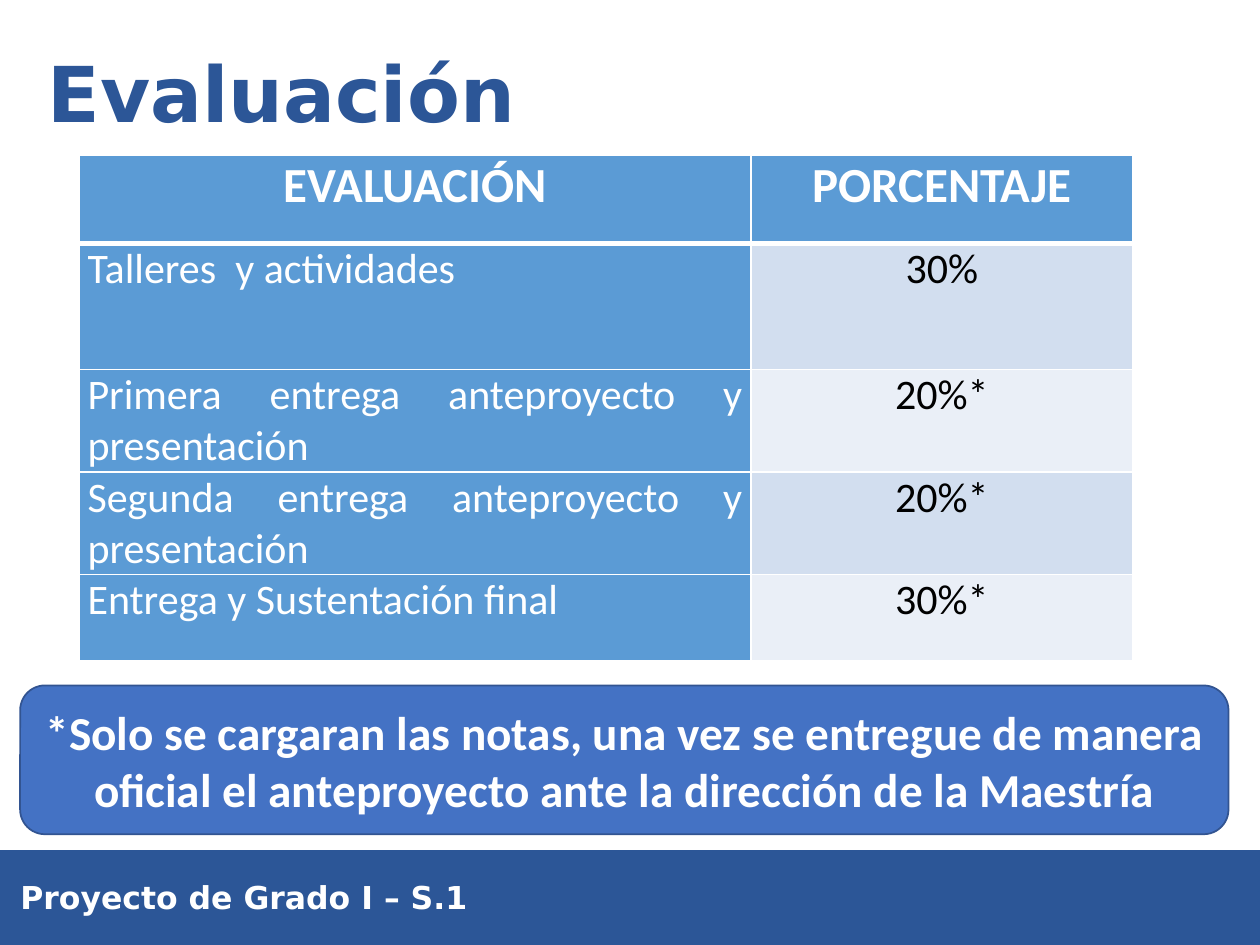
"""Build the course evaluation slide with its grading table and note."""
from lxml import etree
from pptx import Presentation
from pptx.dml.color import RGBColor
from pptx.enum.shapes import MSO_SHAPE
from pptx.enum.text import MSO_ANCHOR, MSO_AUTO_SIZE, PP_ALIGN
from pptx.oxml.ns import qn
from pptx.util import Pt

RECTANGLE, ROUNDED = MSO_SHAPE.RECTANGLE, MSO_SHAPE.ROUNDED_RECTANGLE
LEFT, CENTER, JUSTIFY = PP_ALIGN.LEFT, PP_ALIGN.CENTER, PP_ALIGN.JUSTIFY
MIDDLE, TOP = MSO_ANCHOR.MIDDLE, MSO_ANCHOR.TOP
NO_AUTOFIT = MSO_AUTO_SIZE.NONE

NAVY = RGBColor(0x2C, 0x56, 0x97)
WHITE = RGBColor(0xFF, 0xFF, 0xFF)
BLACK = RGBColor(0, 0, 0)
TABLE_BLUE = RGBColor(0x5B, 0x9B, 0xD5)
BANDS = [RGBColor(0xD2, 0xDE, 0xEF), RGBColor(0xEA, 0xEF, 0xF7)]
NOTE_BLUE = RGBColor(0x44, 0x72, 0xC4)
NOTE_LINE = RGBColor(0x32, 0x54, 0x91)

ROWS = [
    ("EVALUACIÓN", "PORCENTAJE"),
    ("Talleres  y actividades", "30%"),
    ("Primera entrega anteproyecto y presentación", "20%*"),
    ("Segunda entrega anteproyecto y presentación", "20%*"),
    ("Entrega y Sustentación final", "30%*"),
]
ROW_HEIGHTS = [50.4, 72, 57.6, 57.6, 49]
COLUMN_WIDTHS = [384.2, 218]


def write(text_frame, text, font_name, size, color, bold, alignment):
    paragraph = text_frame.paragraphs[0]
    paragraph.alignment = alignment
    run = paragraph.add_run()
    run.text = text
    run.font.name = font_name
    run.font.size = Pt(size)
    run.font.bold = bold
    run.font.color.rgb = color
    return paragraph


def add_block(shapes, kind, box, fill, line):
    shape = shapes.add_shape(kind, *[Pt(length) for length in box])
    shape.shadow.inherit = False
    shape.fill.solid()
    shape.fill.fore_color.rgb = fill
    shape.line.color.rgb = line
    shape.line.width = Pt(1)
    return shape


presentation = Presentation()
presentation.slide_width = Pt(720)
presentation.slide_height = Pt(540)
slide = presentation.slides.add_slide(presentation.slide_layouts[1])
title, footer = slide.shapes.title, slide.placeholders[1]

band = add_block(slide.shapes, RECTANGLE, (0, 486.5, 720, 56), NAVY, NAVY)
title.element.addprevious(band.element)

footer_properties = footer.text_frame.paragraphs[0]._p.get_or_add_pPr()
footer_properties.set("marL", "0")
footer_properties.set("indent", "0")
etree.SubElement(footer_properties, qn("a:buNone"))

for placeholder, box, text, size, color in [
    (title, (20, 3.6, 682, 104.4), "Evaluación", 44, NAVY),
    (footer, (4.4, 492.5, 390, 43), "Proyecto de Grado I – S.1", 18, WHITE),
]:
    placeholder.left, placeholder.top, placeholder.width, placeholder.height = map(Pt, box)
    text_frame = placeholder.text_frame
    text_frame.auto_size = NO_AUTOFIT
    text_frame.vertical_anchor = MIDDLE
    paragraph = write(text_frame, text, "DejaVu Sans", size, color, True, LEFT)
    paragraph.line_spacing = 0.9
    paragraph.space_before = Pt(0)

table = slide.shapes.add_table(
    len(ROWS), 2, Pt(45), Pt(88.8), Pt(sum(COLUMN_WIDTHS)), Pt(sum(ROW_HEIGHTS))
).table
for column, width in zip(table.columns, COLUMN_WIDTHS):
    column.width = Pt(width)
for row_index, (texts, height) in enumerate(zip(ROWS, ROW_HEIGHTS)):
    table.rows[row_index].height = Pt(height)
    header = row_index == 0
    for column_index, text in enumerate(texts):
        cell = table.cell(row_index, column_index)
        cell.margin_left = cell.margin_right = Pt(5)
        cell.margin_top = cell.margin_bottom = Pt(0)
        cell.vertical_anchor = TOP
        value = column_index == 1 and not header
        properties = cell._tc.get_or_add_tcPr()
        for side in ("lnL", "lnR", "lnT", "lnB"):
            thick = (side, row_index) in [("lnB", 0), ("lnT", 1)]
            border = etree.SubElement(properties, qn(f"a:{side}"))
            border.set("w", str(Pt(3 if thick else 1)))
            border_fill = etree.SubElement(border, qn("a:solidFill"))
            etree.SubElement(border_fill, qn("a:srgbClr")).set("val", str(WHITE))
        cell.fill.solid()
        cell.fill.fore_color.rgb = BANDS[(row_index - 1) % 2] if value else TABLE_BLUE
        write(
            cell.text_frame, text, "Calibri", 28 if header else 24,
            BLACK if value else WHITE, header,
            CENTER if header or value else JUSTIFY,
        )

note = add_block(slide.shapes, ROUNDED, (11.5, 391.7, 690.5, 85), NOTE_BLUE, NOTE_LINE)
note.text_frame.word_wrap = True
note.text_frame.vertical_anchor = MIDDLE
write(
    note.text_frame,
    "*Solo se cargaran las notas, una vez se entregue de manera oficial "
    "el anteproyecto ante la dirección de la Maestría",
    "Calibri", 27, WHITE, True, CENTER,
)

presentation.save("out.pptx")
